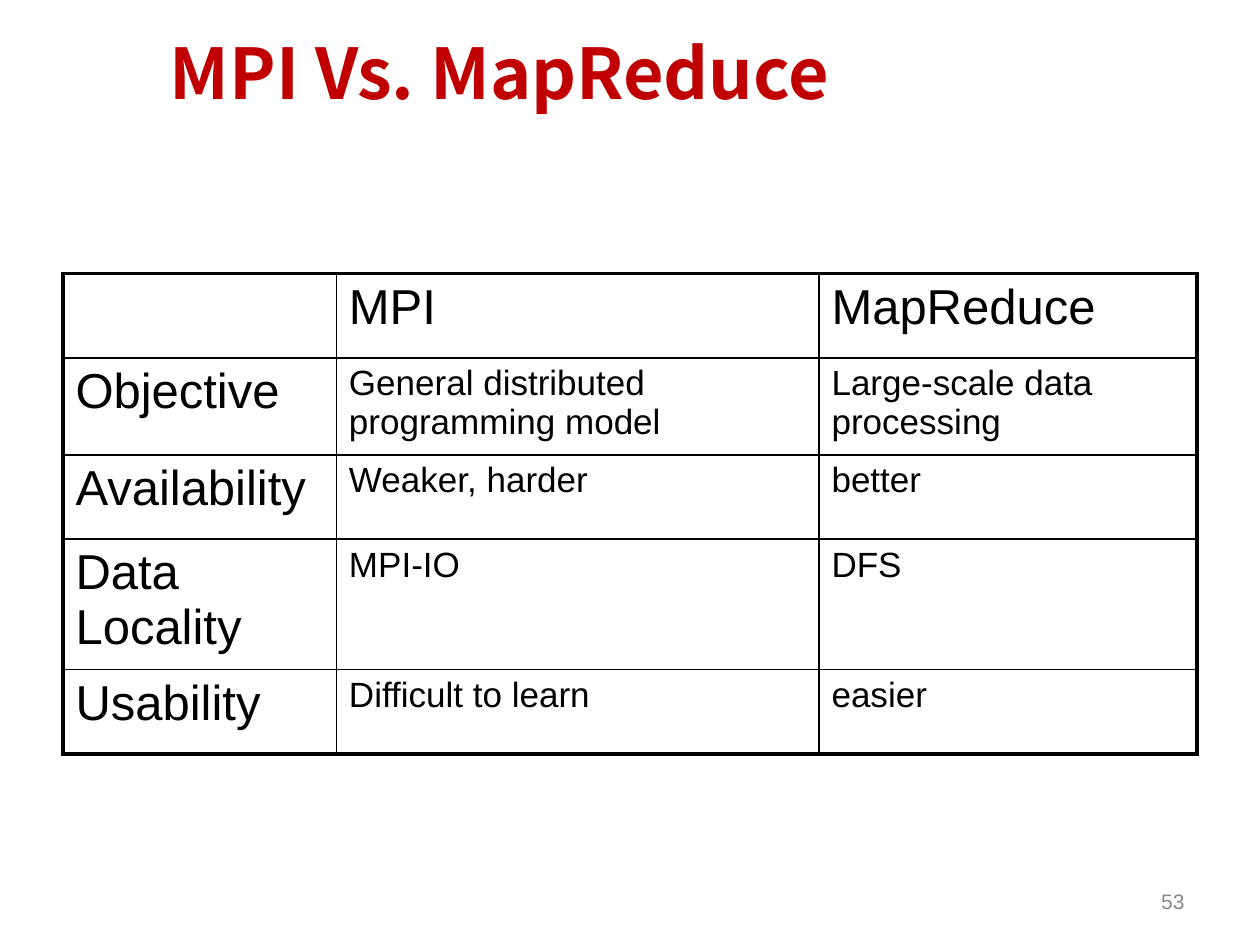
import pptx
import pptx.util
import pptx.dml.color
import pptx.enum.text
import pptx.oxml.ns
from lxml import etree

# Content
TITLE = "MPI Vs. MapReduce"
PAGE_NUMBER = "53"
COMPARISON = [
    ("", "MPI", "MapReduce"),
    ("Objective", "General distributed programming model", "Large-scale data processing"),
    ("Availability", "Weaker, harder", "better"),
    ("Data Locality", "MPI-IO", "DFS"),
    ("Usability", "Difficult to learn", "easier"),
]

# Look, with lengths in inches and sizes in points
COLORS = {"title": "C00000", "text": "000000", "rule": "000000", "page": "898989"}
TITLE_FONT, BODY_FONT = "Noto Sans CJK KR", "Arial"
HEADING_SIZE, ENTRY_SIZE = 28, 20
OUTER_RULE, INNER_RULE = 2.25, 1
SLIDE_WIDTH, SLIDE_HEIGHT = 10, 7.5
COLUMN_WIDTHS = [2.17, 3.83, 3]
ROW_HEIGHTS = [0.67, 0.77, 0.67, 1.03, 0.67]
TABLE_TOP = 2.17

inches = pptx.util.Inches
ALIGN = pptx.enum.text.PP_ALIGN
ANCHOR = pptx.enum.text.MSO_ANCHOR


def write(frame, text, *, size, font=BODY_FONT, color="text", bold=False, align=ALIGN.LEFT):
    frame.word_wrap = True
    paragraph = frame.paragraphs[0]
    paragraph.alignment = align
    paragraph.font.size = pptx.util.Pt(size)
    if not text:
        return
    run = paragraph.add_run()
    run.text = text
    run.font.size = pptx.util.Pt(size)
    run.font.name = font
    run.font.bold = bold
    run.font.color.rgb = pptx.dml.color.RGBColor.from_string(COLORS[color])


def add_label(slide, box, text, **text_format):
    frame = slide.shapes.add_textbox(*map(inches, box)).text_frame
    frame.vertical_anchor = ANCHOR.MIDDLE
    write(frame, text, **text_format)


def rule_cell(cell, widths):
    """Draw the cell's borders; they must precede its fill in the XML."""
    qn = pptx.oxml.ns.qn
    properties = cell._tc.get_or_add_tcPr()
    for position, (side, width) in enumerate(widths.items()):
        line = etree.Element(qn(f"a:ln{side}"), w=str(pptx.util.Pt(width)))
        fill = etree.SubElement(line, qn("a:solidFill"))
        etree.SubElement(fill, qn("a:srgbClr"), val=COLORS["rule"])
        properties.insert(position, line)


def add_comparison(slide):
    rows, columns = len(COMPARISON), len(COLUMN_WIDTHS)
    width, height = sum(COLUMN_WIDTHS), sum(ROW_HEIGHTS)
    left = (SLIDE_WIDTH - width) / 2
    table = slide.shapes.add_table(
        rows, columns, *map(inches, (left, TABLE_TOP, width, height))).table
    table.first_row = table.horz_banding = False

    for column, column_width in zip(table.columns, COLUMN_WIDTHS):
        column.width = inches(column_width)
    for row, row_height in zip(table.rows, ROW_HEIGHTS):
        row.height = inches(row_height)

    for r, entries in enumerate(COMPARISON):
        for c, entry in enumerate(entries):
            cell = table.cell(r, c)
            cell.fill.background()
            is_heading = r == 0 or c == 0
            write(cell.text_frame, entry, size=HEADING_SIZE if is_heading else ENTRY_SIZE)
            on_edge = {"L": c == 0, "R": c == columns - 1, "T": r == 0, "B": r == rows - 1}
            rule_cell(cell, {side: OUTER_RULE if edge else INNER_RULE
                             for side, edge in on_edge.items()})


def main():
    deck = pptx.Presentation()
    deck.slide_width, deck.slide_height = inches(SLIDE_WIDTH), inches(SLIDE_HEIGHT)
    slide = deck.slides.add_slide(deck.slide_layouts[6])

    # Title, table and page number
    add_label(slide, (1.25, 0, 8.56, 1.14), TITLE,
              size=40, font=TITLE_FONT, color="title", bold=True)
    add_comparison(slide)
    add_label(slide, (7.17, 6.95, 2.33, 0.4), PAGE_NUMBER,
              size=12, color="page", align=ALIGN.RIGHT)
    deck.save("out.pptx")


if __name__ == "__main__":
    main()
